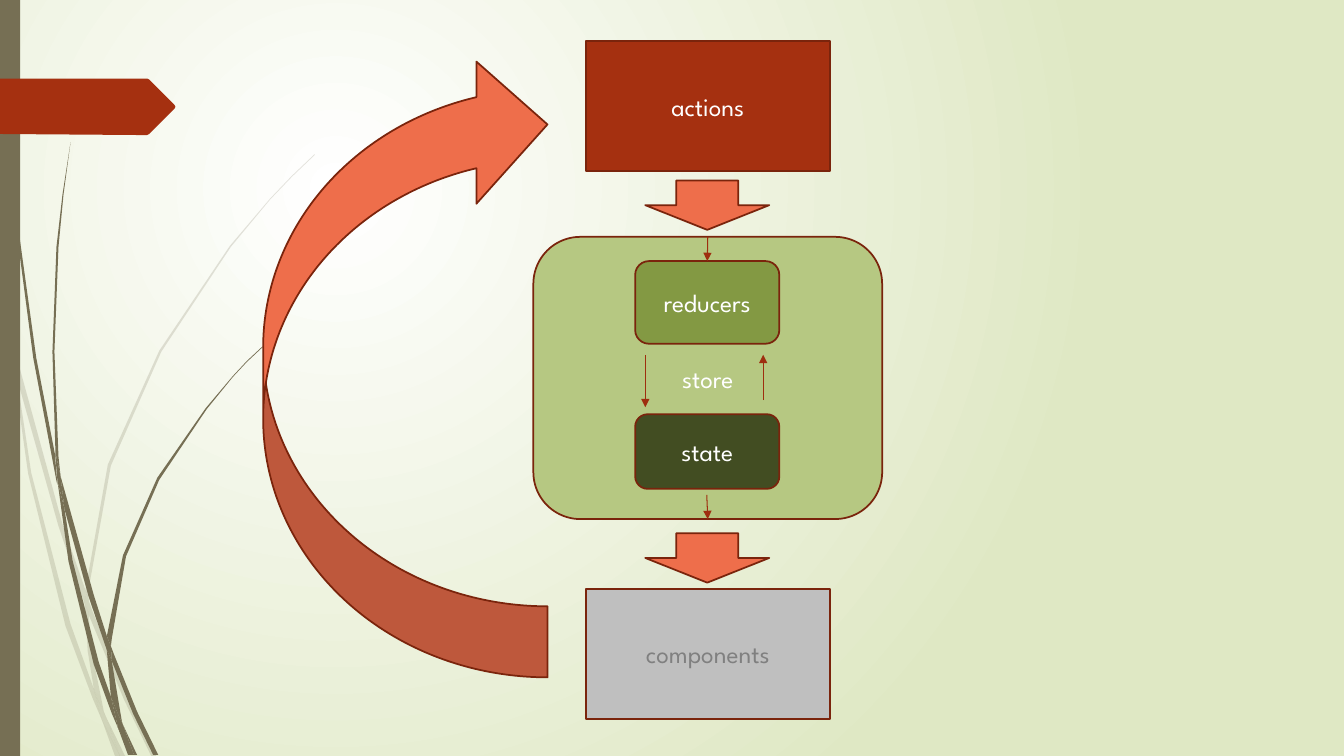
from pptx import Presentation
from pptx import oxml
from pptx import util as u
from pptx.dml import color
from pptx.enum import shapes, text
from pptx.oxml import ns

COLS, ROWS = 13.33, 7.5  # grid cells across and down the slide
CELL = u.Inches(1)
STYLE = {
    "font": {"name": "League Spartan", "size": u.Pt(18)},
    "outline": "7A240C", "outline_w": 1.25,
    "arrow": "9E2E0F", "arrow_w": 0.75,
}


def rgb(value):
    return color.RGBColor.from_string(value)


def grid(*cells):
    return [u.Emu(round(c * CELL)) for c in cells]


def element(tag, attrs="", inner=""):
    return oxml.parse_xml(f"<a:{tag} {ns.nsdecls('a')} {attrs}>{inner}</a:{tag}>")


class Canvas:
    """Holds the style, the slide and the shape tree being drawn on."""

    def __init__(self, prs, style):
        self.style = style
        self.slide = prs.slides.add_slide(prs.slide_layouts[6])
        self.tree = self.slide.shapes

    def group(self):
        self.tree = self.slide.shapes.add_group_shape().shapes

    def ungroup(self):
        self.tree = self.slide.shapes

    def background(self, centre, edge):
        fill = self.slide.background.fill
        fill.gradient()
        for stop, c in zip(fill.gradient_stops, (centre, edge)):
            stop.color.rgb = rgb(c)
        grad = self.slide.element.find(".//" + ns.qn("a:gradFill"))
        focus = '<a:fillToRect l="50000" t="50000" r="100000" b="100000"/>'
        grad.replace(grad.find(ns.qn("a:lin")), element("path", 'path="circle"', focus))

    def paint(self, sp, fill, alpha=None, outline=True):
        sp.shadow.inherit = False
        sp.fill.solid()
        sp.fill.fore_color.rgb = rgb(fill)
        if alpha:
            clr = sp.element.spPr.find(".//" + ns.qn("a:srgbClr"))
            clr.append(element("alpha", f'val="{alpha * 1000}"'))
        if outline:
            sp.line.color.rgb = rgb(self.style["outline"])
            sp.line.width = u.Pt(self.style["outline_w"])
        else:
            sp.line.fill.background()
        return sp

    def outline(self, points, fill, alpha=None):
        start, *rest = [grid(*pt) for pt in points]
        fb = self.tree.build_freeform(*start)
        fb.add_line_segments(rest, close=True)
        return self.paint(fb.convert_to_shape(), fill, alpha, outline=False)

    def shape(self, kind, at, fill, **kw):
        return self.paint(self.tree.add_shape(kind, *grid(*at)), fill, **kw)

    def box(self, kind, at, fill, label, ink="FFFFFF"):
        sp = self.shape(kind, at, fill)
        tf = sp.text_frame
        tf.vertical_anchor = text.MSO_ANCHOR.MIDDLE
        p = tf.paragraphs[0]
        p.alignment = text.PP_ALIGN.CENTER
        r = p.add_run()
        r.text = label
        for key, value in self.style["font"].items():
            setattr(r.font, key, value)
        r.font.color.rgb = rgb(ink)
        return sp

    def arrow(self, start, end, begin_at=None, end_at=None):
        cx = self.tree.add_connector(shapes.MSO_CONNECTOR.STRAIGHT, *grid(*start, *end))
        if begin_at:
            cx.begin_connect(*begin_at)
        if end_at:
            cx.end_connect(*end_at)
        cx.line.color.rgb = rgb(self.style["arrow"])
        cx.line.width = u.Pt(self.style["arrow_w"])
        cx.line._get_or_add_ln().append(element("tailEnd", 'type="triangle"'))
        cx.element.spPr.append(element("effectLst"))


# Grass blades: corner points of each piece, in grid cells
PALE_BLADES = [
    [(.11, 3.5), (.09, 3.22), (0, 2.82), (0, 2.99), (.1, 3.44)],
    [(.58, 5.22), (.84, 5.99), (.85, 5.86), (.62, 5.2), (.14, 3.45), (.17, 3.76)],
    [(.92, 6.07), (.88, 5.96), (.88, 6.1), (1.23, 6.94), (1.5, 7.5), (1.55, 7.5),
     (1.27, 6.92)],
    [(1.19, 7.5), (1.24, 7.5), (1.05, 7.11)],
    [(.93, 6.83), (.7, 6.19), (.31, 4.69), (.17, 3.76), (.11, 3.5), (.28, 4.7),
     (.65, 6.21), (.92, 6.93), (1.01, 7.14), (.99, 7.07)],
    [(.84, 5.99), (.87, 6.46), (.93, 6.83), (.96, 6.92), (1.05, 7.11), (1.03, 7.06),
     (.91, 6.46), (.88, 6.1), (.88, 6.08)],
    [(.88, 5.84), (1.1, 4.62), (1.6, 3.49), (2.29, 2.45), (2.68, 1.98), (2.9, 1.75),
     (3.12, 1.54), (3.12, 1.53), (2.89, 1.75), (2.68, 1.97), (2.28, 2.44), (1.58, 3.48),
     (1.07, 4.61), (.85, 5.84), (.85, 5.86), (.88, 5.96)],
    [(1.01, 7.14), (1.14, 7.5), (1.19, 7.5)],
    [(.88, 6.08), (.88, 6.1), (.88, 5.96), (.85, 5.86), (.84, 5.99)],
    [(.96, 6.92), (.93, 6.83), (.99, 7.07), (1.01, 7.14), (1.19, 7.5), (1.05, 7.11)],
]
DARK_BLADES = [
    [(.07, 1.1), (.17, 2.33), (.33, 3.55), (.56, 4.77), (.57, 4.81), (.55, 4.57),
     (.55, 4.53), (.36, 3.55), (.19, 2.32), (.08, 1.09), (.05, .48), (.04, 0),
     (.03, 0), (.04, .48)],
    [(.88, 5.92), (1.06, 6.45), (1.06, 6.33), (1.06, 6.31), (.93, 5.9), (.6, 4.72),
     (.64, 5.05)],
    [(1.13, 6.49), (1.1, 6.41), (1.11, 6.56), (1.32, 7.08), (1.52, 7.49), (1.57, 7.49),
     (1.36, 7.06)],
    [(1.1, 6.91), (.98, 6.57), (.72, 5.56), (.64, 5.05), (.57, 4.77), (.68, 5.57),
     (.93, 6.59), (1.11, 7.08), (1.17, 7.22), (1.16, 7.17)],
    [(.6, 4.72), (.58, 4.53), (.54, 3.49), (.58, 2.45), (.63, 1.93), (.7, 1.41),
     (.62, 1.93), (.56, 2.45), (.52, 3.49), (.55, 4.49)],
    [(1.33, 7.49), (1.36, 7.49), (1.22, 7.19)],
    [(.57, 4.77), (.64, 5.05), (.6, 4.72), (.55, 4.49), (.55, 4.53)],
    [(1.11, 6.33), (1.25, 5.52), (1.58, 4.76), (2.05, 4.06), (2.31, 3.74), (2.45, 3.59),
     (2.61, 3.44), (2.6, 3.44), (2.45, 3.58), (2.31, 3.73), (2.04, 4.05), (1.56, 4.74),
     (1.22, 5.51), (1.06, 6.31), (1.1, 6.41)],
    [(1.17, 7.22), (1.27, 7.49), (1.31, 7.49)],
    [(1.06, 6.45), (1.1, 6.91), (1.16, 7.06), (1.22, 7.19), (1.21, 7.16), (1.11, 6.56),
     (1.09, 6.51)],
    [(1.06, 6.45), (1.09, 6.51), (1.11, 6.56), (1.1, 6.41), (1.06, 6.31), (1.06, 6.33)],
    [(1.16, 7.06), (1.1, 6.91), (1.16, 7.17), (1.17, 7.22), (1.3, 7.49), (1.33, 7.49),
     (1.22, 7.19)],
]
PAGE_TAG = [(1.73, 1.08), (1.48, 1.33), (1.46, 1.34), (1.36, 1.34), (0, 1.33), (0, .78),
            (1.36, .78), (1.46, .78), (1.48, .79), (1.73, 1.04), (1.74, 1.06)]


def main():
    prs = Presentation()
    prs.slide_width, prs.slide_height = grid(COLS, ROWS)
    s = Canvas(prs, STYLE)
    kinds = shapes.MSO_SHAPE
    earth, rust, coral = "766F54", "A53010", "EE6E4B"

    # Backdrop, side bar and page tag
    s.background("FFFFFF", "DFE8C4")
    for blades, alpha in ((PALE_BLADES, 20), (DARK_BLADES, None)):
        s.group()
        for blade in blades:
            s.outline(blade, earth, alpha)
    s.ungroup()
    s.shape(kinds.RECTANGLE, (0, 0, .2, ROWS), earth, outline=False)
    s.outline(PAGE_TAG, rust)

    # Store with its reducers and state
    s.group()
    rounded = kinds.ROUNDED_RECTANGLE
    store = s.box(rounded, (5.29, 2.35, 3.46, 2.8), "B6C882", "store")
    reducers = s.box(rounded, (6.3, 2.59, 1.43, .82), "839943", "reducers")
    s.box(rounded, (6.3, 4.11, 1.43, .74), "424D22", "state")
    s.ungroup()

    # Actions above, components below
    s.box(kinds.RECTANGLE, (5.81, .41, 2.42, 1.29), rust, "actions")
    s.box(kinds.RECTANGLE, (5.81, 5.84, 2.42, 1.29), "BFBFBF", "components", "808080")

    # Block arrows of the cycle
    back = s.shape(kinds.CURVED_RIGHT_ARROW, (2.61, .53, 2.82, 6.19), coral)
    back.element.spPr.find(ns.qn("a:xfrm")).set("flipV", "1")
    for top in (1.79, 5.29):
        s.shape(kinds.DOWN_ARROW, (6.4, top, 1.23, .49), coral)

    # Thin arrows inside the store
    s.arrow((7.01, 2.35), (7.01, 2.59), (store, 0), (reducers, 0))
    s.arrow((7.01, 4.91), (7.01, 5.15), end_at=(store, 2))
    s.arrow((6.4, 3.52), (6.4, 4.04))
    s.arrow((7.57, 3.97), (7.57, 3.52))

    prs.save("out.pptx")


if __name__ == "__main__":
    main()
